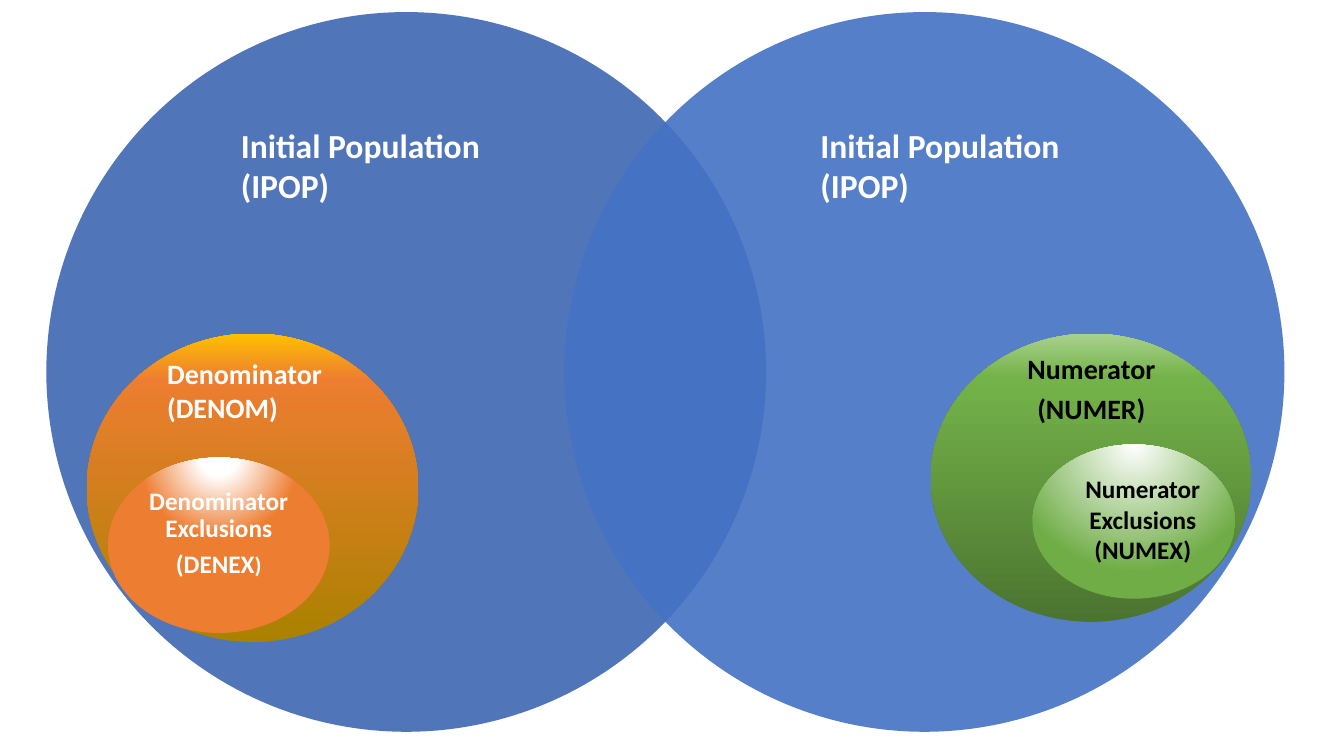
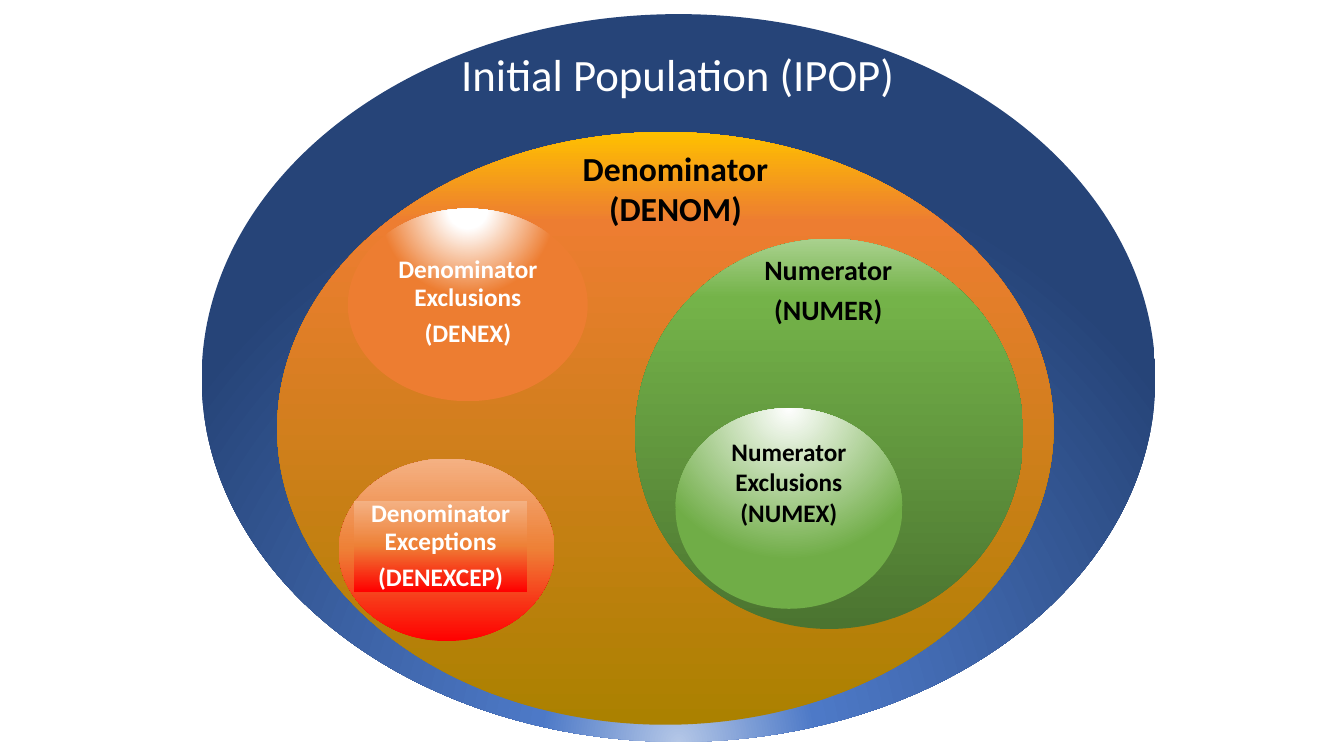
"""Two Venn-style slides of measure populations."""
import dataclasses
import typing

import lxml.etree
import pptx
import pptx.dml.color
import pptx.enum.shapes
import pptx.enum.text
import pptx.oxml.ns
import pptx.util

WIDE, HIGH = pptx.util.Inches(13.33), pptx.util.Inches(7.5)
FONT = "Calibri"
HEX = {
    "white": "FFFFFF", "black": "000000",
    "left": "3E67B2", "right": "4472C4",
    "sky": "B4C7E7", "blue": "4D79C7", "navy": "264478",
    "gold": "FFC000", "amber": "EF862A", "orange": "ED7D31", "brown": "AB8100",
    "lime": "A9D18E", "leaf": "74B349", "green": "70AD47", "moss": "4B7430",
    "red": "FF0000", "rust": "EE8137", "peach": "F4B183",
}
ALIGN = pptx.enum.text.PP_ALIGN
FORM = pptx.enum.shapes.MSO_SHAPE
Box = tuple[float, float, float, float]  # left, top, width, height in % of the slide
Stops = tuple[tuple[int, str], ...]


@dataclasses.dataclass(frozen=True)
class Paint:
    """A fill: one colour with alpha, or a linear or radial gradient."""
    stops: Stops
    focus: tuple[int, int] | None = None  # top and bottom of the radial centre, in %
    alpha: int = 100


@dataclasses.dataclass(frozen=True)
class Style:
    """How a label's text looks."""
    size: int
    ink: str = "white"
    bold: bool = True
    align: typing.Any = ALIGN.CENTER
    inset: float = 0  # inches; above zero means tight, middle-anchored text


@dataclasses.dataclass(frozen=True)
class Oval:
    """A filled ellipse."""
    box: Box
    paint: str


@dataclasses.dataclass(frozen=True)
class Label:
    """Lines of text, on a filled panel if a paint is named."""
    box: Box
    lines: tuple[str, ...]
    style: Style
    paint: str = ""
    tail: int = 0  # size of the last character, if it differs


GLOW = (-80, 180)
PAINTS = {
    "left": Paint(((0, "left"),), alpha=90),
    "right": Paint(((0, "right"),), alpha=90),
    "ipop": Paint(((0, "sky"), (23, "blue"), (100, "navy")), (130, -30)),
    "denom": Paint(((0, "brown"), (85, "orange"), (87, "amber"), (100, "gold"))),
    "denex": Paint(((0, "white"), (13, "white"), (57, "orange")), GLOW),
    "except": Paint(((0, "red"), (51, "rust"), (100, "peach"))),
    "numer": Paint(((0, "moss"), (85, "leaf"), (100, "lime"))),
    "numex": Paint(((0, "white"), (100, "green")), GLOW),
}

IPOP = ("Initial Population", "(IPOP)")
DENOM = ("Denominator", "(DENOM)")
DENEX = ("Denominator Exclusions", "(DENEX)")
EXCEPT = ("Denominator Exceptions", "(DENEXCEP)")
NUMER = ("Numerator", "(NUMER)")
NUMEX = ("Numerator Exclusions", "(NUMEX)")

HEAD = Style(24, align=ALIGN.LEFT)
SUB = Style(20, align=ALIGN.LEFT)
TITLE = Style(32, bold=False)
DARK = Style(24, "black")
SMALL = Style(18, "black")
TIGHT = Style(18, inset=0.12)
NUM = Style(20, "black", inset=0.14)
NUM_WIDE = dataclasses.replace(NUM, inset=0.16)

SLIDES = (
    (
        Oval((3.45, 1.6, 53.56, 95.2), "left"),
        Oval((42.01, 1.6, 53.56, 95.2), "right"),
        Oval((6.45, 44.13, 24.68, 40.8), "denom"),
        Oval((8.03, 60.53, 16.5, 23.2), "denex"),
        Label((10.05, 64.8, 12.45, 11.6), DENEX, TIGHT, tail=16),
        Label((17.18, 15.87, 20.1, 12.13), IPOP, HEAD),
        Label((60.31, 15.87, 20.86, 12.13), IPOP, HEAD),
        Oval((69.24, 44.13, 23.86, 38.13), "numer"),
        Label((75.02, 46.8, 12.38, 9.6), NUMER, NUM),
        Oval((76.82, 58.8, 15.08, 20.4), "numex"),
        Label((79.89, 62, 10.28, 13.47), NUMEX, SMALL),
        Label((11.7, 46.53, 13.05, 10.27), DENOM, SUB),
    ),
    (
        Oval((15, 1.87, 70.97, 96.27), "ipop"),
        Oval((20.63, 17.47, 57.76, 78.4), "denom"),
        Oval((25.88, 27.6, 17.85, 25.47), "denex"),
        Label((28.06, 33.6, 13.5, 12.8), DENEX, TIGHT),
        Oval((47.26, 31.6, 28.88, 51.6), "numer"),
        Label((54.16, 35.07, 14.93, 7.07), NUMER, NUM_WIDE),
        Oval((50.26, 54, 16.88, 26.53), "numex"),
        Label((53.56, 57.07, 10.28, 13.47), NUMEX, SMALL),
        Oval((25.21, 60.67, 16.05, 24.13), "except"),
        Label((26.33, 66.27, 12.9, 12), EXCEPT, TIGHT, "except"),
        Label((33.38, 5.47, 34.13, 8.53), (" ".join(IPOP),), TITLE),
        Label((41.71, 18.93, 17.1, 12.13), DENOM, DARK),
    ),
)


def place(box: Box) -> list[int]:
    """Turn shares of the slide into lengths."""
    return [round(part * full / 100) for part, full in zip(box, (WIDE, HIGH) * 2)]


def node(root: typing.Any, tag: str, **attrs: typing.Any) -> typing.Any:
    """Add a drawing element below root."""
    return lxml.etree.SubElement(root, pptx.oxml.ns.qn("a:" + tag),
                                 {key: str(val) for key, val in attrs.items()})


def blend(shape: typing.Any, paint: Paint) -> None:
    """Fill a shape with a paint."""
    fill = shape.fill
    if len(paint.stops) == 1:
        fill.solid()
        fill.fore_color.rgb = pptx.dml.color.RGBColor.from_string(HEX[paint.stops[0][1]])
        tint = shape._element.spPr.find(".//" + pptx.oxml.ns.qn("a:srgbClr"))
        node(tint, "alpha", val=paint.alpha * 1000)
        return
    fill.gradient()
    grad = shape._element.spPr.find(pptx.oxml.ns.qn("a:gradFill"))
    for child in list(grad):
        grad.remove(child)
    row = node(grad, "gsLst")
    for spot, name in paint.stops:
        node(node(row, "gs", pos=spot * 1000), "srgbClr", val=HEX[name])
    if paint.focus is None:
        node(grad, "lin", ang=270 * 60000, scaled=0)
    else:
        top, base = paint.focus
        node(node(grad, "path", path="circle"), "fillToRect",
             l=50000, t=top * 1000, r=50000, b=base * 1000)


def panel(slide: typing.Any, form: typing.Any, box: Box, paint: str) -> typing.Any:
    """Add a filled shape without line or shadow."""
    shape = slide.shapes.add_shape(form, *place(box))
    shape.shadow.inherit = False
    shape.line.fill.background()
    blend(shape, PAINTS[paint])
    return shape


def write(para: typing.Any, text: str, style: Style, size: int) -> None:
    """Add one styled run."""
    run = para.add_run()
    run.text = text
    font = run.font
    font.name, font.size, font.bold = FONT, pptx.util.Pt(size), style.bold
    font.color.rgb = pptx.dml.color.RGBColor.from_string(HEX[style.ink])


def label(slide: typing.Any, item: Label) -> None:
    """Draw a label."""
    style = item.style
    if item.paint:
        shape = panel(slide, FORM.RECTANGLE, item.box, item.paint)
    else:
        shape = slide.shapes.add_textbox(*place(item.box))
    frame = shape.text_frame
    frame.word_wrap = True
    if style.inset:
        frame.vertical_anchor = pptx.enum.text.MSO_ANCHOR.MIDDLE
        frame.margin_left = frame.margin_right = pptx.util.Inches(style.inset)
        frame.margin_top = frame.margin_bottom = pptx.util.Inches(style.inset)
    else:
        frame.auto_size = pptx.enum.text.MSO_AUTO_SIZE.SHAPE_TO_FIT_TEXT
    for rank, line in enumerate(item.lines):
        para = frame.add_paragraph() if rank else frame.paragraphs[0]
        para.alignment = style.align
        if style.inset:
            para.line_spacing = 0.9
            para.space_after = pptx.util.Pt(0.35 * style.size)
        if item.tail and line == item.lines[-1]:
            write(para, line[:-1], style, style.size)
            write(para, line[-1], style, item.tail)
        else:
            write(para, line, style, style.size)


def main() -> None:
    """Build and save the deck."""
    deck = pptx.Presentation()
    deck.slide_width, deck.slide_height = WIDE, HIGH
    for items in SLIDES:
        slide = deck.slides.add_slide(deck.slide_layouts[6])
        for item in items:
            if isinstance(item, Oval):
                panel(slide, FORM.OVAL, item.box, item.paint)
            else:
                label(slide, item)
    deck.save("out.pptx")


main()
